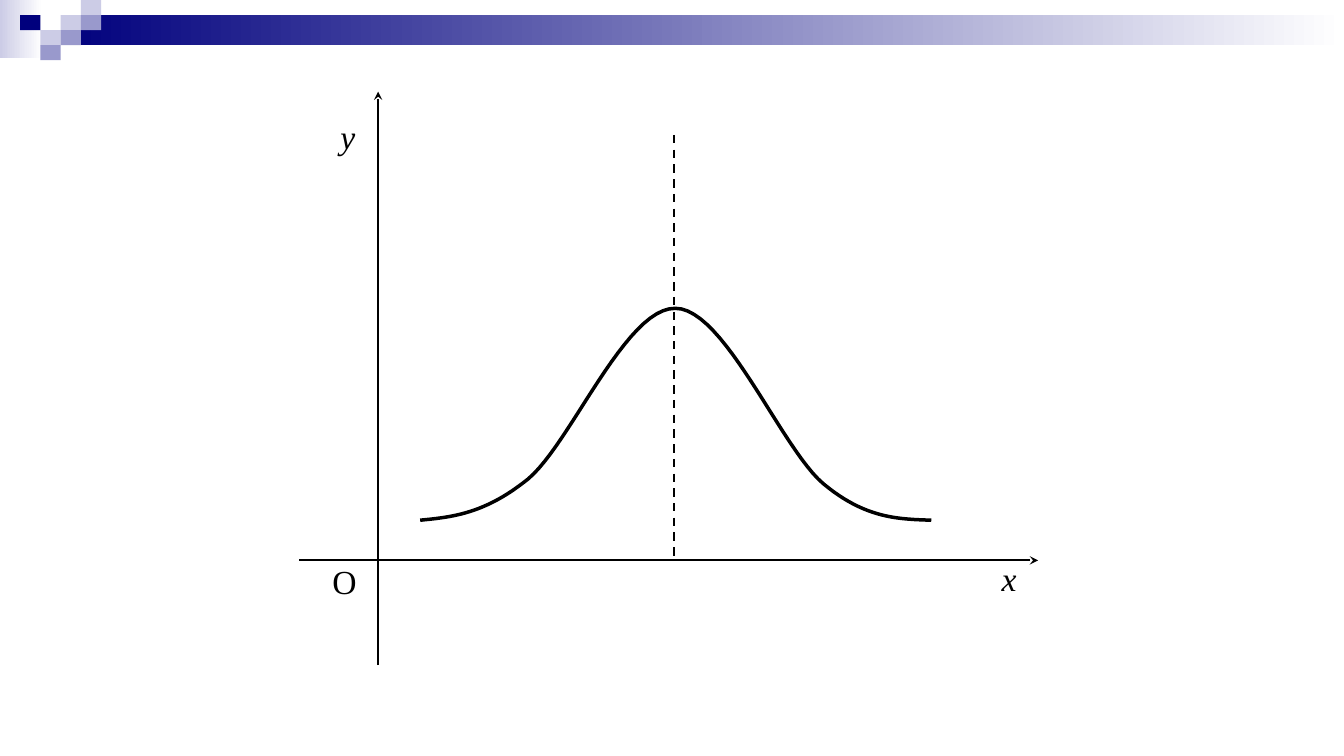
from dataclasses import dataclass

from lxml.etree import SubElement
from pptx import Presentation
from pptx.dml.color import RGBColor
from pptx.enum.dml import MSO_LINE_DASH_STYLE as Dash
from pptx.enum.shapes import MSO_CONNECTOR, MSO_SHAPE
from pptx.oxml.ns import qn
from pptx.slide import Slide
from pptx.util import Cm, Pt

Point = tuple[float, float]


@dataclass(frozen=True)
class Theme:
    navy: RGBColor = RGBColor(0x00, 0x00, 0x7D)
    lavender: RGBColor = RGBColor(0x99, 0x99, 0xCC)
    pale: RGBColor = RGBColor(0xCC, 0xCC, 0xE6)
    white: RGBColor = RGBColor(0xFF, 0xFF, 0xFF)
    ink: RGBColor = RGBColor(0x00, 0x00, 0x00)
    font: str = "Times New Roman"
    label_size: float = 24
    axis_width: float = 1.25
    dash_width: float = 1.5
    curve_width: float = 2.5


THEME = Theme()
SLIDE_WIDTH, SLIDE_HEIGHT = 33.87, 19.05
TILE_WIDTH, TILE_HEIGHT = 0.51, 0.38


@dataclass(frozen=True)
class Block:
    left: float
    top: float
    width: float
    height: float
    color: RGBColor
    fades: bool = False


@dataclass(frozen=True)
class Tile:
    column: int
    row: int
    color: RGBColor


@dataclass(frozen=True)
class Rule:
    start: Point
    end: Point
    width: float
    arrow: bool = False
    dashed: bool = False


@dataclass(frozen=True)
class Label:
    text: str
    left: float
    top: float
    width: float
    italic: bool = True


FADES = [
    Block(0, 0, 1.07, 1.47, THEME.pale, True),
    Block(3 * TILE_WIDTH, TILE_HEIGHT, SLIDE_WIDTH - 3 * TILE_WIDTH,
          2 * TILE_HEIGHT, THEME.navy, True),
]
TILES = [
    Tile(3, 1, THEME.pale),
    Tile(4, 0, THEME.pale),
    Tile(4, 1, THEME.lavender),
    Tile(2, 2, THEME.pale),
    Tile(1, 1, THEME.navy),
    Tile(3, 2, THEME.lavender),
    Tile(2, 3, THEME.lavender),
]
RULES = [
    Rule((7.54, 14.12), (26.16, 14.12), THEME.axis_width, arrow=True),
    Rule((9.53, 16.76), (9.53, 2.31), THEME.axis_width, arrow=True),
    Rule((16.99, 3.4), (16.99, 14.05), THEME.dash_width, dashed=True),
]
LABELS = [
    Label("y", 8.33, 2.8, 1.65),
    Label("x", 24.99, 13.93, 1.93),
    Label("O", 8.13, 14.0, 1.65, italic=False),
]
# Bézier control points: each segment shares its ends with its neighbours
BELL = [
    (10.59, 13.11), (11.4, 13.03), (12.22, 12.95),
    (13.31, 12.07), (14.38, 11.18), (15.77, 7.75),
    (17.02, 7.77), (18.26, 7.77), (19.69, 11.3),
    (20.75, 12.19), (21.82, 13.08), (22.66, 13.08),
    (23.47, 13.11),
]


def add_block(slide: Slide, block: Block) -> None:
    shape = slide.shapes.add_shape(
        MSO_SHAPE.RECTANGLE, Cm(block.left), Cm(block.top),
        Cm(block.width), Cm(block.height))
    shape.shadow.inherit = False
    shape.line.fill.background()
    if block.fades:
        shape.fill.gradient()
        shape.fill.gradient_angle = 0
        for stop, color in zip(shape.fill.gradient_stops, (block.color, THEME.white)):
            stop.color.rgb = color
    else:
        shape.fill.solid()
        shape.fill.fore_color.rgb = block.color


def add_rule(slide: Slide, rule: Rule) -> None:
    connector = slide.shapes.add_connector(
        MSO_CONNECTOR.STRAIGHT, *map(Cm, rule.start + rule.end))
    connector.line.color.rgb = THEME.ink
    connector.line.width = Pt(rule.width)
    if rule.dashed:
        connector.line.dash_style = Dash.DASH
    properties = connector._element.spPr
    if rule.arrow:
        SubElement(properties.find(qn("a:ln")), qn("a:tailEnd"), type="stealth")
    SubElement(properties, qn("a:effectLst"))


def bezier_points(controls: list[Point], steps: int = 24) -> list[Point]:
    points = [controls[0]]
    for first in range(0, len(controls) - 1, 3):
        segment = controls[first:first + 4]
        for step in range(1, steps + 1):
            t = step / steps
            weights = ((1 - t) ** 3, 3 * t * (1 - t) ** 2, 3 * t ** 2 * (1 - t), t ** 3)
            points.append((sum(w * x for w, (x, _) in zip(weights, segment)),
                           sum(w * y for w, (_, y) in zip(weights, segment))))
    return points


def add_curve(slide: Slide, controls: list[Point]) -> None:
    start, *others = [(Cm(x), Cm(y)) for x, y in bezier_points(controls)]
    builder = slide.shapes.build_freeform(*start)
    builder.add_line_segments(others, close=False)
    shape = builder.convert_to_shape()
    shape.shadow.inherit = False
    shape.fill.background()
    shape.line.color.rgb = THEME.ink
    shape.line.width = Pt(THEME.curve_width)


def add_label(slide: Slide, label: Label) -> None:
    box = slide.shapes.add_textbox(
        Cm(label.left), Cm(label.top), Cm(label.width), Cm(1.27))
    box.text_frame.word_wrap = True
    paragraph = box.text_frame.paragraphs[0]
    paragraph.text = label.text
    paragraph.font.name = THEME.font
    paragraph.font.size = Pt(THEME.label_size)
    paragraph.font.italic = label.italic
    paragraph.font.color.rgb = THEME.ink


def main() -> None:
    presentation = Presentation()
    presentation.slide_width = Cm(SLIDE_WIDTH)
    presentation.slide_height = Cm(SLIDE_HEIGHT)
    slide = presentation.slides.add_slide(presentation.slide_layouts[6])

    # Header band and its mosaic
    for block in FADES:
        add_block(slide, block)
    for tile in TILES:
        add_block(slide, Block(tile.column * TILE_WIDTH, tile.row * TILE_HEIGHT,
                               TILE_WIDTH, TILE_HEIGHT, tile.color))

    # Bell curve, axes and line of symmetry
    add_curve(slide, BELL)
    for rule in RULES:
        add_rule(slide, rule)

    # Axis labels
    for label in LABELS:
        add_label(slide, label)

    presentation.save("out.pptx")


if __name__ == "__main__":
    main()
